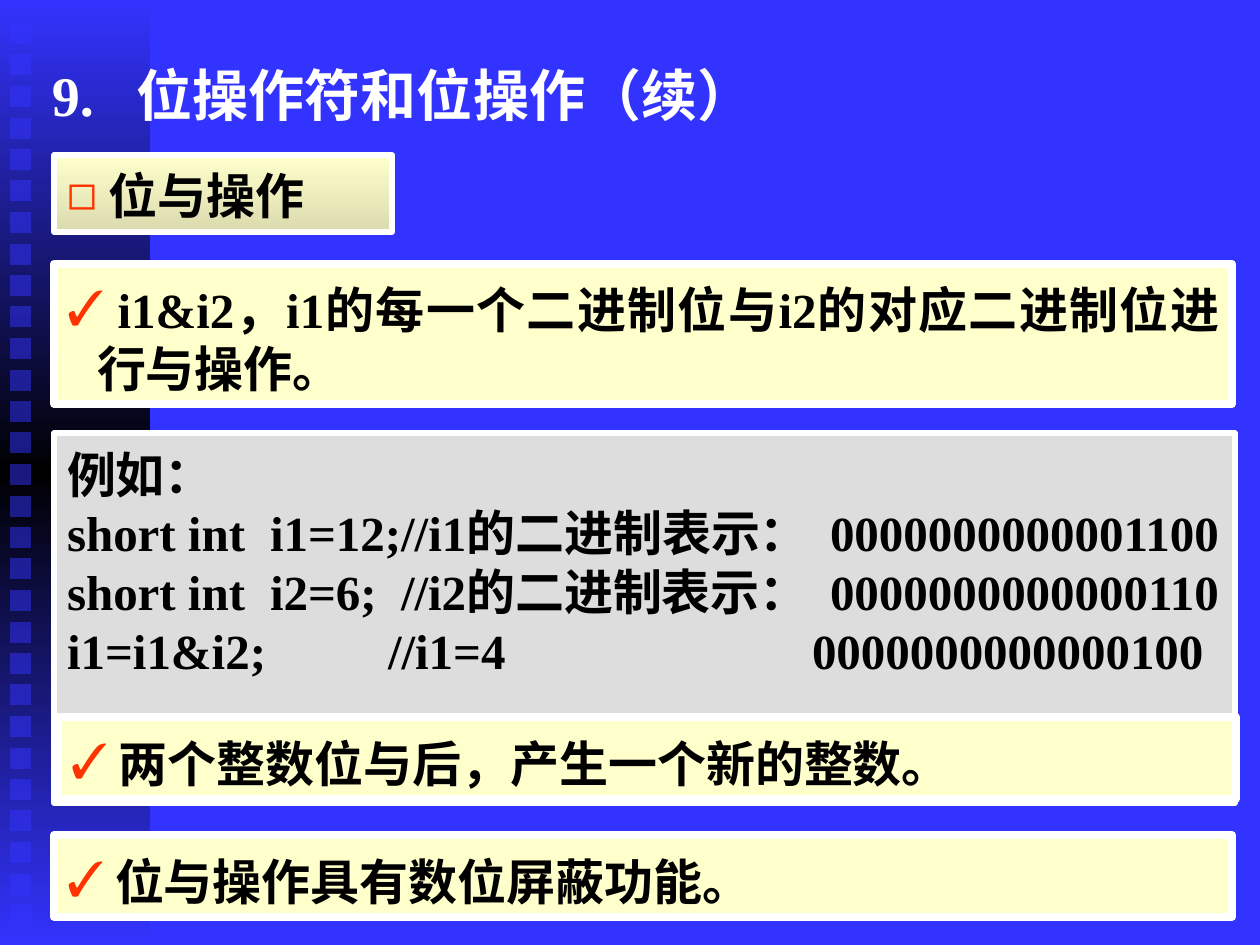
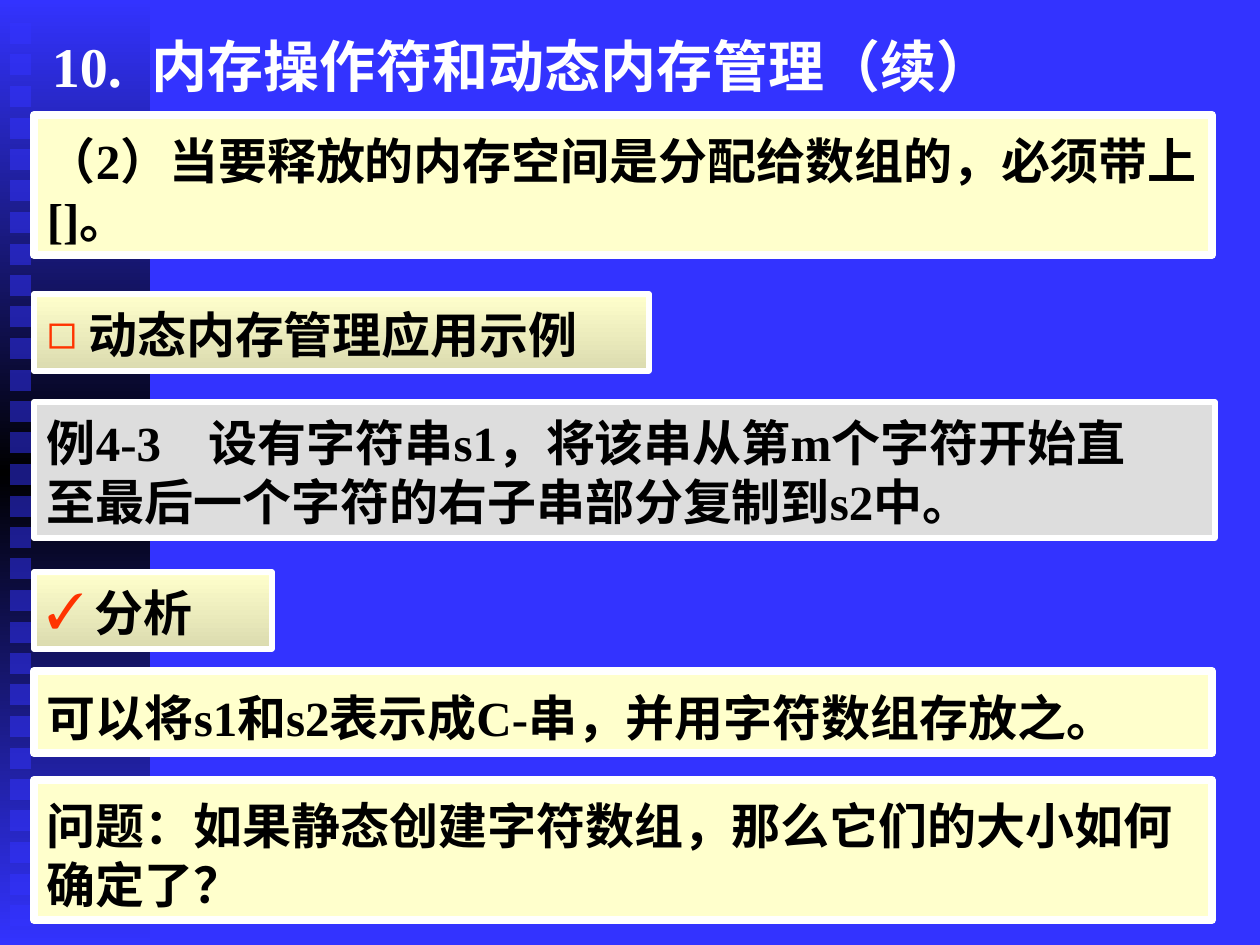
from lxml import etree
from pptx import Presentation
from pptx.dml.color import RGBColor
from pptx.enum.shapes import MSO_SHAPE
from pptx.enum.text import MSO_ANCHOR, PP_ALIGN
from pptx.oxml.ns import qn
from pptx.util import Emu, Pt

RECT = MSO_SHAPE.RECTANGLE
TOP = MSO_ANCHOR.TOP
LEFT = PP_ALIGN.LEFT
JUSTIFY = PP_ALIGN.JUSTIFY

EMU_PER_PX = 914400 / 126
SLIDE_W, SLIDE_H = 1260, 945
FONT = "Times New Roman"
BLUE, BLACK, WHITE = "3333FF", "000000", "FFFFFF"
CREAM, KHAKI, GREY, RED = "FFFFCC", "DBDBAF", "DDDDDD", "FF3300"
SQUARE = "◻"
CHECK = "✓"
HANGING = 30
INSET = 13


def px(length):
    return Emu(round(length * EMU_PER_PX))


def rgb(color):
    return RGBColor.from_string(color)


def add_xml(parent, tag, **attributes):
    child = etree.SubElement(parent, qn(tag))
    for name, value in attributes.items():
        child.set(name, str(value))
    return child


class Deck:
    def __init__(self):
        self.presentation = Presentation()
        self.presentation.slide_width = px(SLIDE_W)
        self.presentation.slide_height = px(SLIDE_H)
        self.slide = None

    def new_slide(self, number, heading, top, heading_tab):
        self.slide = self.presentation.slides.add_slide(
            self.presentation.slide_layouts[6])
        background = self.slide.background.fill
        background.solid()
        background.fore_color.rgb = rgb(BLUE)
        self.side_band()
        title = self.slide.shapes.add_textbox(px(39), px(top), px(1187), px(73))
        self.add_lines(title.text_frame, [f"{number}\t{heading}"], size=32,
                       color=WHITE, inset_top=6, align=JUSTIFY,
                       tabs=[[heading_tab]])

    def side_band(self):
        band = self.rectangle(0, 0, 150, SLIDE_H)
        self.gradient(band, [BLUE, BLACK, BLUE])
        for row in range(29):
            square = self.rectangle(10, round(23 + 31.5 * row), 21, 21, BLUE)
            color = square._element.spPr.find(".//" + qn("a:srgbClr"))
            add_xml(color, "a:alpha", val=50000)

    def rectangle(self, left, top, width, height, fill=None, border=None):
        shape = self.slide.shapes.add_shape(
            RECT, px(left), px(top), px(width), px(height))
        shape.shadow.inherit = False
        if fill:
            shape.fill.solid()
            shape.fill.fore_color.rgb = rgb(fill)
        if border:
            shape.line.color.rgb = rgb(WHITE)
            shape.line.width = Pt(border)
        else:
            shape.line.fill.background()
        return shape

    def gradient(self, shape, colors):
        shape.fill.gradient()
        shape.fill.gradient_angle = 270
        stops = shape._element.spPr.find(".//" + qn("a:gsLst"))
        for stop in list(stops):
            stops.remove(stop)
        for index, color in enumerate(colors):
            position = 100000 * index // (len(colors) - 1)
            stop = add_xml(stops, "a:gs", pos=position)
            add_xml(stop, "a:srgbClr", val=color)

    def add_lines(self, frame, lines, size=28, color=BLACK, inset_top=11,
                  inset_right=INSET, align=LEFT, bullet=None, tabs=()):
        frame.word_wrap = True
        frame.vertical_anchor = TOP
        frame.margin_left, frame.margin_right = px(INSET), px(inset_right)
        frame.margin_top, frame.margin_bottom = px(inset_top), px(6)
        for index, line in enumerate(lines):
            paragraph = frame.add_paragraph() if index else frame.paragraphs[0]
            paragraph.alignment = align
            if bullet:
                self.bullet(paragraph, bullet)
            if tabs and tabs[index]:
                stops = add_xml(paragraph._p.get_or_add_pPr(), "a:tabLst")
                for stop in tabs[index]:
                    add_xml(stops, "a:tab", pos=px(stop), algn="l")
            run = paragraph.add_run()
            run.text = line
            run.font.name = FONT
            run.font.size = Pt(size)
            run.font.bold = True
            run.font.color.rgb = rgb(color)

    def bullet(self, paragraph, mark):
        properties = paragraph._p.get_or_add_pPr()
        properties.set("marL", str(px(HANGING)))
        properties.set("indent", str(-px(HANGING)))
        add_xml(add_xml(properties, "a:buClr"), "a:srgbClr", val=RED)
        add_xml(properties, "a:buFont", typeface=FONT)
        add_xml(properties, "a:buChar", char=mark)

    def topic(self, left, top, width, text, mark=SQUARE):
        label = self.rectangle(left, top, width, 77, border=3)
        self.gradient(label, [CREAM, KHAKI])
        self.add_lines(label.text_frame, [text], bullet=mark)

    def note(self, left, top, height, text, mark=None):
        panel = self.rectangle(left, top, 1178, height, CREAM, 4.5)
        self.add_lines(panel.text_frame, [text], inset_top=16, bullet=mark,
                       align=JUSTIFY if mark else LEFT)

    def example(self, left, top, height, lines, tabs=()):
        panel = self.rectangle(left, top, 1181, height, GREY, 3)
        self.add_lines(panel.text_frame, lines, inset_right=5, tabs=tabs)


def bitwise_and(deck):
    deck.new_slide("9.", "位操作符和位操作（续）", 55, 85)
    deck.topic(54, 155, 338, " 位与操作")
    deck.note(54, 264, 140,
              " i1&i2，i1的每一个二进制位与i2的对应二进制位进行与操作。", CHECK)
    deck.example(54, 433, 370, [
        "例如：",
        "short int\ti1=12;//i1的二进制表示：\t0000000000001100",
        "short int\ti2=6;\t//i2的二进制表示：\t0000000000000110",
        "i1=i1&i2;\t//i1=4\t0000000000000100",
    ], [[], [203, 763], [203, 334, 763], [321, 745]])
    deck.note(58, 717, 82, " 两个整数位与后，产生一个新的整数。", CHECK)
    deck.note(54, 835, 82, " 位与操作具有数位屏蔽功能。", CHECK)


def dynamic_memory(deck):
    left = 34
    deck.new_slide("10.", "内存操作符和动态内存管理（续）", 26, 100)
    deck.note(left, 115, 140,
              "（2）当要释放的内存空间是分配给数组的，必须带上[]。")
    deck.topic(left, 294, 615, " 动态内存管理应用示例")
    deck.example(left, 402, 136, [
        "例4-3\t设有字符串s1，将该串从第m个字符开始直",
        "至最后一个字符的右子串部分复制到s2中。",
    ], [[162], []])
    deck.topic(left, 572, 238, " 分析", CHECK)
    deck.note(left, 671, 82, "可以将s1和s2表示成C-串，并用字符数组存放之。")
    deck.note(left, 780, 140,
              "问题：如果静态创建字符数组，那么它们的大小如何确定了？")


def main():
    deck = Deck()
    bitwise_and(deck)
    dynamic_memory(deck)
    deck.presentation.save("out.pptx")


if __name__ == "__main__":
    main()
